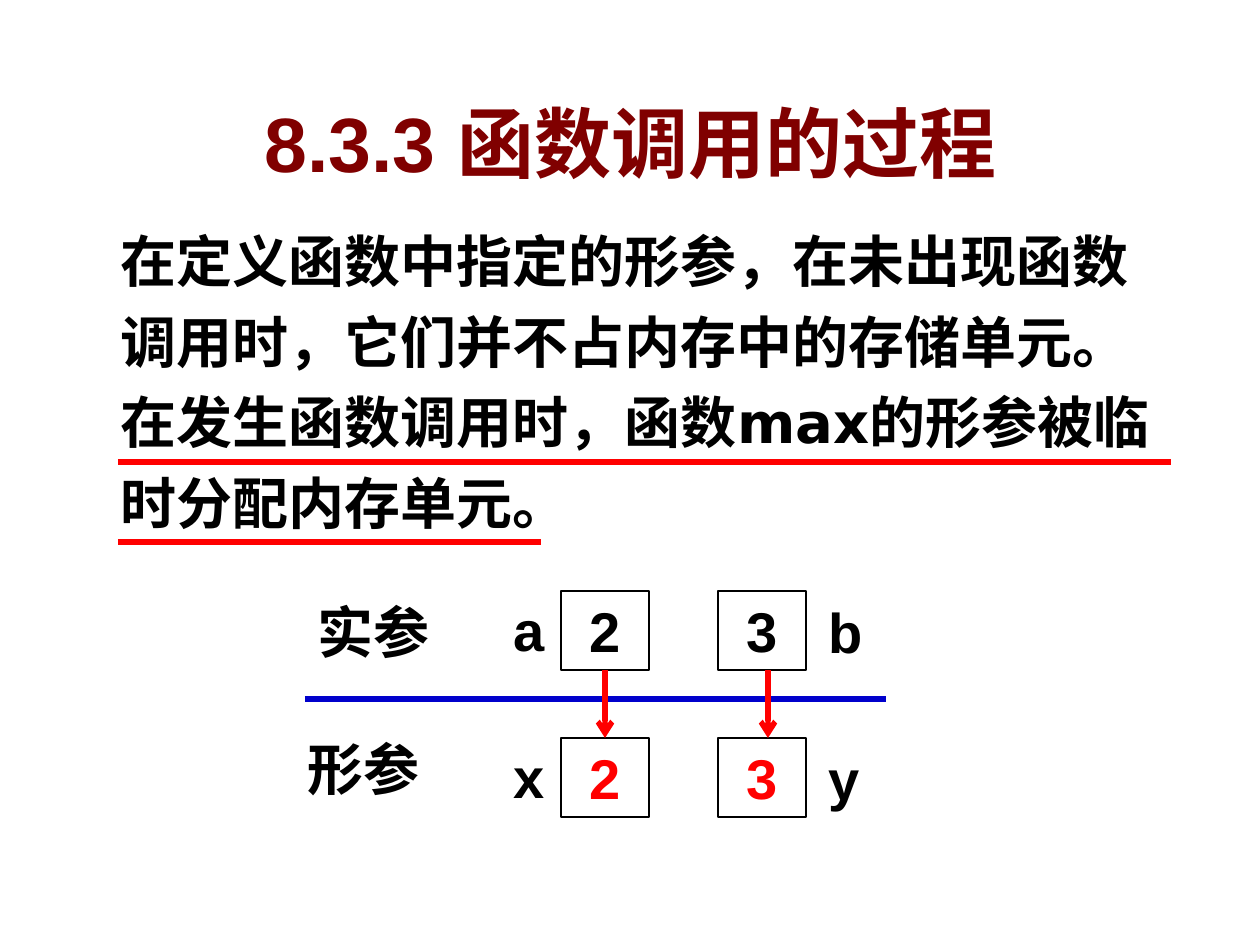
from lxml.etree import SubElement
from pptx import Presentation
from pptx.dml.color import RGBColor
from pptx.enum.shapes import MSO_CONNECTOR, MSO_SHAPE
from pptx.enum.text import MSO_ANCHOR, PP_ALIGN
from pptx.oxml.ns import qn
from pptx.util import Emu, Pt

PX_PER_INCH = 126
COLORS = {"title": "800000", "text": "000000", "accent": "FF0000",
          "divider": "0000CC", "box": "FFFFFF", "shadow": "C0C0C0"}
BOTTOM, TOP = 2, 0


def px(length):
    return Emu(round(length * 914400 / PX_PER_INCH))


def rgb(name):
    return RGBColor.from_string(COLORS[name])


def write(frame, text, size=32, font="Arial", color="text", align=PP_ALIGN.LEFT):
    """Fill a text frame with one bold paragraph and return that paragraph."""
    frame.text = text
    paragraph = frame.paragraphs[0]
    paragraph.alignment = align
    style = paragraph.runs[0].font
    style.size, style.bold, style.name = Pt(size), True, font
    style.color.rgb = rgb(color)
    return paragraph


def add_label(slide, text, left, top, width, height=81, **style):
    frame = slide.shapes.add_textbox(*map(px, (left, top, width, height))).text_frame
    frame.word_wrap = True
    return write(frame, text, **style)


def add_line(slide, start, end, color, arrow=False):
    line = slide.shapes.add_connector(MSO_CONNECTOR.STRAIGHT, *map(px, start + end))
    line.line.color.rgb = rgb(color)
    line.line.width = Pt(3)
    properties = line._element.spPr
    if arrow:
        SubElement(properties.find(qn("a:ln")), qn("a:tailEnd"), type="arrow")
    SubElement(properties, qn("a:effectLst"))
    return line


def add_value_box(slide, value, left, top, width, height, color):
    box = slide.shapes.add_shape(MSO_SHAPE.FLOWCHART_PROCESS,
                                 *map(px, (left, top, width, height)))
    box.shadow.inherit = False
    box.fill.solid()
    box.fill.fore_color.rgb = rgb("box")
    box.line.color.rgb = rgb("text")
    box.line.width = Pt(0.75)
    box.text_frame.word_wrap = False
    box.text_frame.vertical_anchor = MSO_ANCHOR.MIDDLE
    write(box.text_frame, value, color=color, align=PP_ALIGN.CENTER)
    return box


def place_title(slide, left, top, width, height):
    title = slide.shapes.title
    title.left, title.top, title.width, title.height = map(px, (left, top, width, height))
    title.text_frame.vertical_anchor = MSO_ANCHOR.MIDDLE
    heading = write(title.text_frame, "8.3.3 函数调用的过程", size=44, color="title",
                    align=PP_ALIGN.CENTER)
    effects = SubElement(heading.runs[0].font._element, qn("a:effectLst"))
    heading.runs[0].font._element.find(qn("a:latin")).addprevious(effects)
    shadow = SubElement(effects, qn("a:outerShdw"), dist="38100", dir="2700000")
    SubElement(shadow, qn("a:srgbClr"), val=COLORS["shadow"])


def add_explanation(slide, left, top, width, height):
    body = add_label(
        slide,
        "在定义函数中指定的形参，在未出现函数调用时，它们并不占内存中的存储单元。"
        "在发生函数调用时，函数max的形参被临时分配内存单元。",
        left, top, width, height, font="DejaVu Sans")
    body.line_spacing = 1.2
    for offset, length in ((255, 1053), (335, 423)):
        start = (left + 10, top + offset)
        add_line(slide, start, (start[0] + length, start[1]), "accent")


def add_parameter_diagram(slide, left, top):
    """Actual parameters above the divider pass their values to formal ones below."""
    box_width, box_height, row_gap = 88, 79, 147
    add_line(slide, (left, top + 108), (left + 581, top + 108), "divider")
    add_label(slide, "实参", left, top, 158)
    add_label(slide, "形参", left - 10, top + 137, 158)

    # names, value, box x, name x, name y shift, arrow shift from the box centre
    columns = ((("a", "x"), "2", 256, 196, -2, 0),
               (("b", "y"), "3", 413, 511, 0, 6))
    for names, value, box_x, name_x, name_shift, arrow_shift in columns:
        boxes = []
        for row, (name, color) in enumerate(zip(names, ("text", "accent"))):
            row_top = top + row * row_gap
            boxes.append(add_value_box(slide, value, left + box_x, row_top,
                                       box_width, box_height, color))
            add_label(slide, name, left + name_x, row_top + name_shift, 69)
        arrow_x = left + box_x + box_width // 2 + arrow_shift
        arrow = add_line(slide, (arrow_x, top + box_height), (arrow_x, top + row_gap),
                         "accent", arrow=True)
        if not arrow_shift:
            arrow.begin_connect(boxes[0], BOTTOM)
            arrow.end_connect(boxes[1], TOP)


def main():
    deck = Presentation()
    deck.slide_width, deck.slide_height = px(1260), px(945)
    slide = deck.slides.add_slide(deck.slide_layouts[5])
    place_title(slide, 20, 89, 1221, 106)
    add_explanation(slide, 108, 207, 1082, 384)
    add_parameter_diagram(slide, 305, 591)
    deck.save("out.pptx")


if __name__ == "__main__":
    main()
